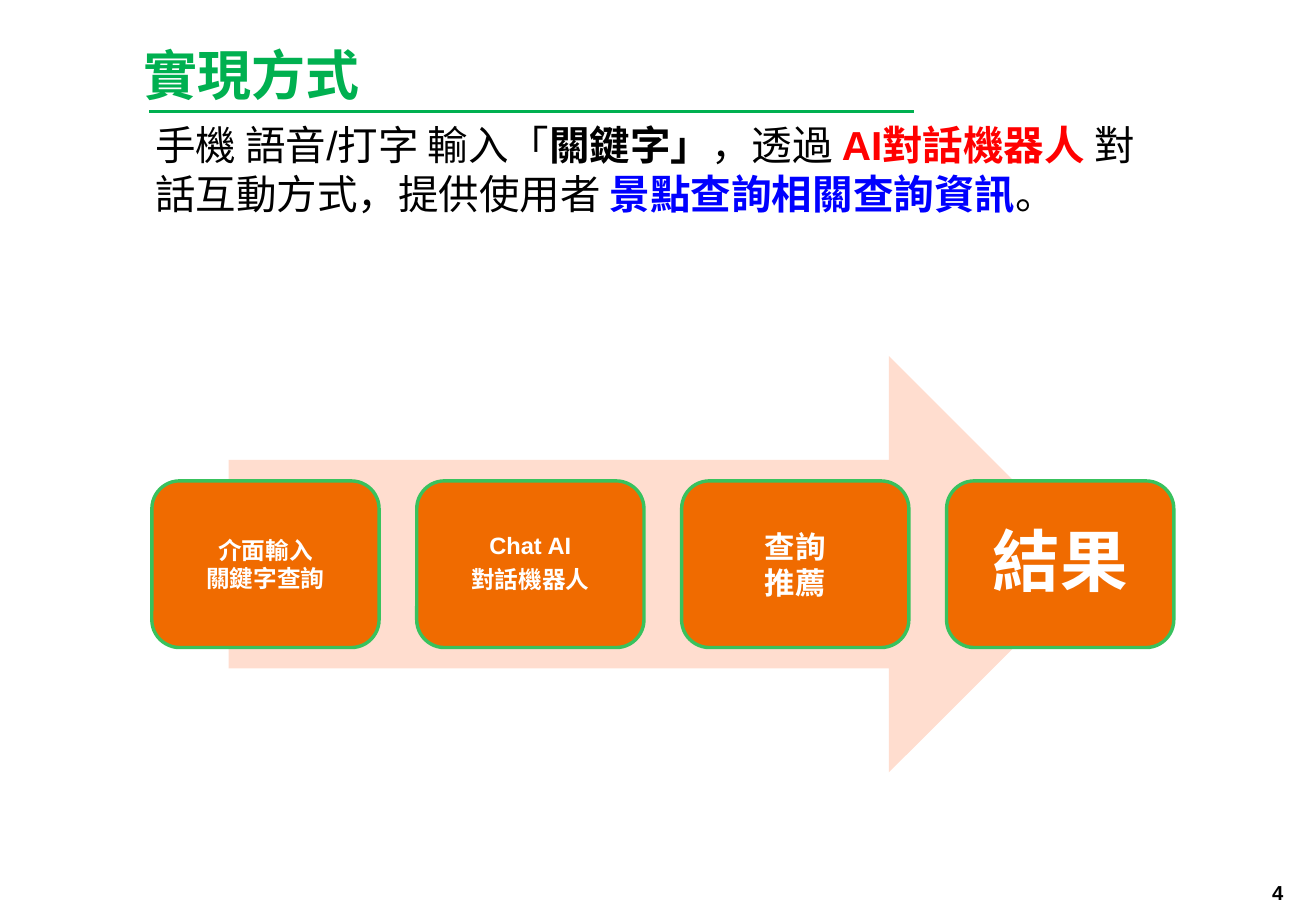
from lxml import etree
from pptx import Presentation
from pptx import util as u
from pptx.dml.color import RGBColor
from pptx.enum import shapes, text
from pptx.oxml.ns import qn

COLORS = {
    "title": "00B050", "body": "000000", "alert": "FF0000", "topic": "0000FF",
    "arrow": "FFDDCF", "step": "F06B00", "border": "38C25D", "white": "FFFFFF",
}
STEPS = [
    (["介面輸入", "關鍵字查詢"], {"size": 14, "font": "Noto Sans CJK SC"}),
    (["Chat AI", "對話機器人"], {"size": 14, "line_spacing": 0.9, "after": 5}),
    (["查詢", "推薦"], {"size": 18}),
    (["結果"], {"size": 40, "inset": 0.17, "line_spacing": 0.9, "after": 14}),
]
SUMMARY = [
    ("手機 語音/打字 輸入「", "body", False),
    ("關鍵字」", "body", True),
    ("，透過 ", "body", False),
    ("AI對話機器人 ", "alert", True),
    ("對話互動方式，提供使用者 ", "body", False),
    ("景點查詢相關查詢資訊", "topic", True),
    ("。", "body", False),
]


def rgb(name):
    """Return the named palette colour."""
    return RGBColor.from_string(COLORS[name])


def write_text(shape, paragraphs, size, font="Arial", align=text.PP_ALIGN.LEFT,
               anchor=text.MSO_ANCHOR.TOP, inset=None, line_spacing=None, after=0):
    """Fill a shape with paragraphs made of (text, colour, bold) runs."""
    frame = shape.text_frame
    frame.word_wrap = True
    frame.vertical_anchor = anchor
    if inset is not None:
        frame.margin_left = frame.margin_right = u.Inches(inset)
        frame.margin_top = frame.margin_bottom = u.Inches(inset)
    for index, runs in enumerate(paragraphs):
        paragraph = frame.add_paragraph() if index else frame.paragraphs[0]
        paragraph.alignment = align
        paragraph.space_after = u.Pt(after)
        if line_spacing:
            paragraph.line_spacing = line_spacing
        for content, color, bold in runs:
            run = paragraph.add_run()
            run.text = content
            run.font.name = font
            run.font.size = u.Pt(size)
            run.font.bold = bold
            run.font.color.rgb = rgb(color)


def add_text(slide, box, runs, **formatting):
    """Add a text box holding one paragraph."""
    shape = slide.shapes.add_textbox(*map(u.Inches, box))
    write_text(shape, [runs], **formatting)


def add_block(slide, kind, box, fill, border=None):
    """Add a filled preset shape, outlined if a border colour is given."""
    shape = slide.shapes.add_shape(kind, *map(u.Inches, box))
    shape.shadow.inherit = False
    shape.fill.solid()
    shape.fill.fore_color.rgb = rgb(fill)
    if border:
        shape.line.color.rgb = rgb(border)
        shape.line.width = u.Pt(2)
    else:
        shape.line.fill.background()
    return shape


def add_header(slide, left, top, width):
    """Place the title, its underline and the summary below it."""
    add_text(slide, (left, top, width, 0.65), [("實現方式", "title", True)], size=32)
    line_y = u.Inches(top + 0.63)
    underline = slide.shapes.add_connector(
        shapes.MSO_CONNECTOR.STRAIGHT,
        u.Inches(left + 0.15), line_y, u.Inches(left + 6.44), line_y)
    underline.line.color.rgb = rgb("title")
    underline.line.width = u.Pt(1.5)
    etree.SubElement(underline._element.spPr, qn("a:effectLst"))
    add_text(slide, (left + 0.1, top + 0.65, 8.35, 0.91), SUMMARY, size=24)


def add_process(slide, left, top, width, height):
    """Place the arrow and the evenly spaced steps across it."""
    arrow_width = width * 0.85
    add_block(slide, shapes.MSO_SHAPE.RIGHT_ARROW,
              (left + (width - arrow_width) / 2, top, arrow_width, height), "arrow")
    step_width, step_height = 1.87, height * 0.4
    pitch = (width - step_width) / (len(STEPS) - 1)
    for index, (lines, formatting) in enumerate(STEPS):
        box = (left + index * pitch, top + (height - step_height) / 2,
               step_width, step_height)
        step = add_block(slide, shapes.MSO_SHAPE.ROUNDED_RECTANGLE, box, "step", "border")
        write_text(step, [[(line, "white", True)] for line in lines],
                   align=text.PP_ALIGN.CENTER, anchor=text.MSO_ANCHOR.MIDDLE,
                   **{"inset": 0.06, **formatting})


def main():
    """Build and save the slide."""
    presentation = Presentation()
    presentation.slide_width = u.Inches(10.83)
    presentation.slide_height = u.Inches(7.5)
    slide = presentation.slides.add_slide(presentation.slide_layouts[6])
    add_header(slide, 1.08, 0.29, 8.55)
    add_process(slide, 1.25, 2.93, 8.41, 3.43)
    add_text(slide, (10.37, 7.2, 0.46, 0.3), [("4", "body", True)], size=12)
    presentation.save("out.pptx")


if __name__ == "__main__":
    main()
